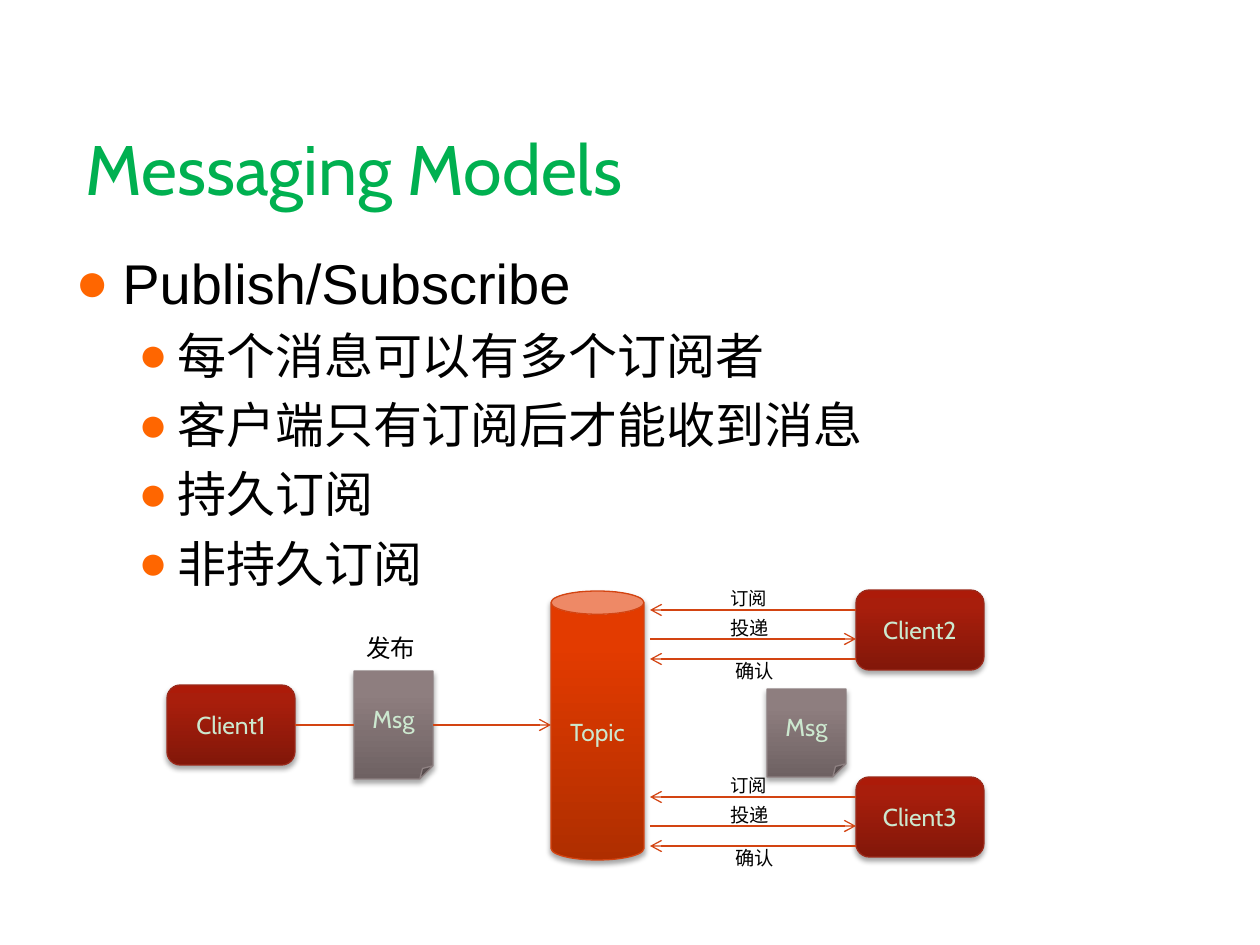
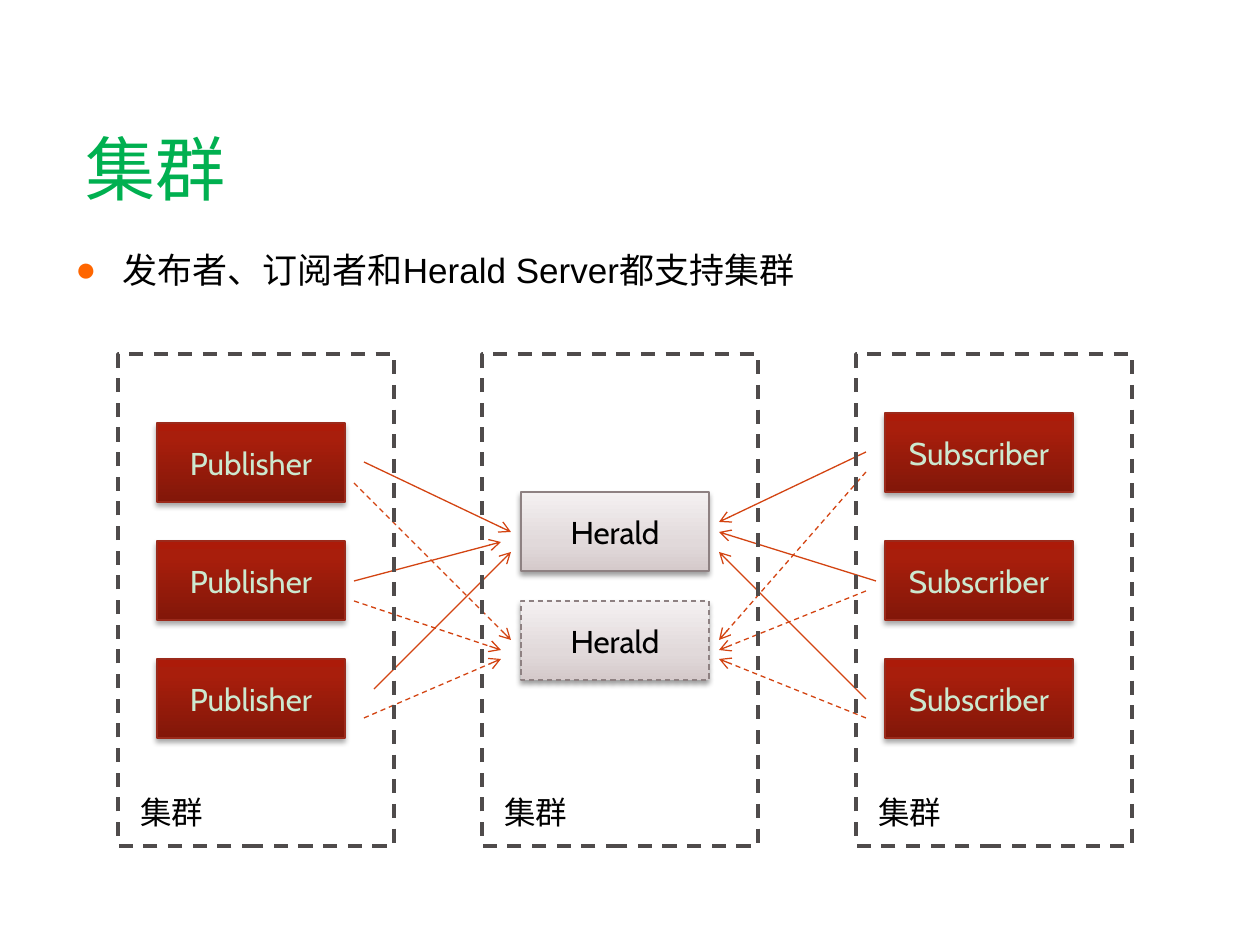
from copy import deepcopy
from dataclasses import dataclass

from lxml import etree
from pptx import Presentation
from pptx import util as u
from pptx.dml.color import RGBColor
from pptx.enum import dml, shapes, text
from pptx.oxml.ns import qn

EMU_PER_PX = 914400 / 126


@dataclass(frozen=True)
class Theme:
    heading_font: str = "Cabin"
    body_font: str = "Arial"
    title: str = "00B050"
    ink: str = "000000"
    pale: str = "CCE8CF"
    bullet: str = "FF6600"
    arrow: str = "D34412"
    frame: str = "4F4B4B"
    title_size: float = 40
    topic_size: float = 32
    detail_size: float = 28
    note_size: float = 20
    cluster_size: float = 18
    diagram_size: float = 14
    signal_size: float = 11
    subscribe_size: float = 10.5
    hairline: float = 0.75
    frame_line: float = 2


@dataclass(frozen=True)
class Finish:
    stops: tuple  # (position in percent, colour), from bottom to top
    outline: str
    ink: str = Theme.pale
    shadow_alpha: int = 35


THEME = Theme()
RED = Finish(((0, "821709"), (80, "A81E0C"), (100, "AC1B09")), "9B2A1B")
GREY = Finish(((0, "6E6162"), (80, "8E7E7F"), (100, "8F7E80")), "8E8182")
ORANGE = Finish(((0, "AF2E00"), (80, "E33B00"), (100, "E43B00")), THEME.arrow)
LIGHT = Finish(((0, "D5CACB"), (35, "E1D9DA"), (100, "F4F0F1")), "8E8182",
               THEME.ink, 38)


def px(length):
    return u.Emu(round(length * EMU_PER_PX))


def box_px(box):
    return [px(length) for length in box]


def rgb(colour):
    return RGBColor.from_string(colour)


def add_node(parent, tag, **attributes):
    node = etree.SubElement(parent, qn(tag))
    for name, value in attributes.items():
        node.set(name, str(value))
    return node


def style_runs(paragraph, size, colour, font=THEME.heading_font):
    for run in paragraph.runs:
        run.font.size = u.Pt(size)
        run.font.name = font
        run.font.color.rgb = rgb(colour)


def style_line(line, colour, width, dashed=False):
    line.color.rgb = rgb(colour)
    line.width = u.Pt(width)
    if dashed:
        line.dash_style = dml.MSO_LINE.DASH


# Text elements

def add_title(slide, words):
    frame = slide.shapes.add_textbox(*box_px((73, 126, 1124, 84))).text_frame
    frame.word_wrap = True
    frame.vertical_anchor = text.MSO_ANCHOR.MIDDLE
    frame.text = words
    style_runs(frame.paragraphs[0], THEME.title_size, THEME.title)


def add_bullets(slide, entries):
    """Each entry is (level, size, words)."""
    frame = slide.shapes.add_textbox(*box_px((63, 242, 1134, 602))).text_frame
    frame.word_wrap = True
    frame.text = "\n".join(words for _, _, words in entries)
    for paragraph, (level, size, _) in zip(frame.paragraphs, entries):
        margin, hanging = ((47, 47), (102, 39))[level]
        paragraph.level = level
        paragraph.space_before = u.Pt(round(size * 0.21, 1))
        style_runs(paragraph, size, THEME.ink, THEME.body_font)
        properties = paragraph._p.get_or_add_pPr()
        properties.set("marL", str(px(margin)))
        properties.set("indent", str(-px(hanging)))
        colour = add_node(properties, "a:buClr")
        add_node(colour, "a:srgbClr", val=THEME.bullet)
        add_node(properties, "a:buFont", typeface=THEME.body_font)
        add_node(properties, "a:buChar", char="●")


def add_label(slide, box, words, size):
    frame = slide.shapes.add_textbox(*box_px(box)).text_frame
    frame.word_wrap = False
    frame.text = words
    style_runs(frame.paragraphs[0], size, THEME.ink)


# Diagram elements

def fill_gradient(shape, stops):
    shape.fill.gradient()
    shape.fill.gradient_angle = 90
    stop_list = shape._element.spPr.find(".//" + qn("a:gsLst"))
    while len(stop_list) < len(stops):
        stop_list.append(deepcopy(stop_list[-1]))
    for stop, (position, colour) in zip(shape.fill.gradient_stops, stops):
        stop.position = position / 100
        stop.color.rgb = rgb(colour)


def add_shadow(shape, alpha):
    shape.shadow.inherit = False
    effects = shape._element.spPr.find(qn("a:effectLst"))
    shadow = add_node(effects, "a:outerShdw", blurRad=u.Pt(3.1), dist=u.Pt(1.8),
                      dir=90 * 60000, algn="t", rotWithShape=0)
    colour = add_node(shadow, "a:srgbClr", val=THEME.ink)
    add_node(colour, "a:alpha", val=alpha * 1000)


def add_node_shape(slide, kind, box, words, finish, size, dashed=False):
    shape = slide.shapes.add_shape(kind, *box_px(box))
    fill_gradient(shape, finish.stops)
    style_line(shape.line, finish.outline, THEME.hairline, dashed)
    add_shadow(shape, finish.shadow_alpha)
    frame = shape.text_frame
    frame.text = words
    frame.vertical_anchor = text.MSO_ANCHOR.MIDDLE
    paragraph = frame.paragraphs[0]
    paragraph.alignment = text.PP_ALIGN.CENTER
    style_runs(paragraph, size, finish.ink)
    return shape


def add_link(slide, start, end, dashed=False, arrow=True):
    connector = slide.shapes.add_connector(
        shapes.MSO_CONNECTOR.STRAIGHT, *box_px((*start, *end)))
    style_line(connector.line, THEME.arrow, THEME.hairline, dashed)
    properties = connector._element.spPr
    if arrow:
        add_node(properties.find(qn("a:ln")), "a:tailEnd", type="arrow")
    add_node(properties, "a:effectLst")
    return connector


def add_client(slide, left, top, words):
    return add_node_shape(slide, shapes.MSO_SHAPE.ROUNDED_RECTANGLE,
                          (left, top, 128, 80), words, RED, THEME.diagram_size)


def add_message(slide, left, top, height):
    return add_node_shape(slide, shapes.MSO_SHAPE.FOLDED_CORNER,
                          (left, top, 79, height), "Msg", GREY, THEME.diagram_size)


def add_subscription(slide, top, client):
    """A client at the right with its three signals to and from the topic."""
    topic_side, client_side = 650, 856
    add_client(slide, client_side, top, client)
    signals = (("订阅", 718, -9, 20, THEME.subscribe_size, False),
               ("投递", 718, 20, 49, THEME.signal_size, True),
               ("确认", 723, 63, 69, THEME.signal_size, False))
    for words, left, label_drop, line_drop, size, to_client in signals:
        start, end = ((topic_side, client_side) if to_client
                      else (client_side, topic_side))
        add_link(slide, (start, top + line_drop), (end, top + line_drop))
        add_label(slide, (left, top + label_drop, 64, 36), words, size)


def add_cluster(slide, left):
    top = 354
    frame = slide.shapes.add_shape(shapes.MSO_SHAPE.RECTANGLE,
                                   *box_px((left, top, 276, 492)))
    frame.fill.background()
    frame.shadow.inherit = False
    style_line(frame.line, THEME.frame, THEME.frame_line, dashed=True)
    add_label(slide, (left + 10, top + 433, 90, 50), "集群", THEME.cluster_size)


def add_member(slide, left, top, words, finish, dashed=False):
    add_node_shape(slide, shapes.MSO_SHAPE.RECTANGLE, (left, top, 188, 79),
                   words, finish, THEME.cluster_size, dashed)


# Slides

def build_messaging_models(slide):
    add_title(slide, "Messaging Models")
    details = ("每个消息可以有多个订阅者", "客户端只有订阅后才能收到消息",
               "持久订阅", "非持久订阅")
    add_bullets(slide, [(0, THEME.topic_size, "Publish/Subscribe")]
                + [(1, THEME.detail_size, words) for words in details])

    # Publishing side
    publisher = add_client(slide, 167, 685, "Client1")
    message = add_message(slide, 354, 671, 108)
    add_label(slide, (354, 627, 75, 43), "发布", THEME.diagram_size)
    add_node_shape(slide, shapes.MSO_SHAPE.CAN, (551, 591, 93, 269), "Topic",
                   ORANGE, THEME.diagram_size)
    sending = add_link(slide, (295, 725), (354, 725), arrow=False)
    sending.begin_connect(publisher, 3)
    sending.end_connect(message, 1)
    arriving = add_link(slide, (433, 725), (551, 725))
    arriving.begin_connect(message, 3)

    # Subscribing side
    add_message(slide, 767, 689, 88)
    for top, client in ((590, "Client2"), (777, "Client3")):
        add_subscription(slide, top, client)


def build_cluster(slide):
    add_title(slide, "集群")
    add_bullets(slide, [(0, THEME.note_size,
                         "发布者、订阅者和Herald Server都支持集群")])

    # Cluster members
    for top in (423, 541, 659):
        add_member(slide, 157, top, "Publisher", RED)
    for top, standby in ((492, False), (601, True)):
        add_member(slide, 521, top, "Herald", LIGHT, standby)
    for top in (413, 541, 659):
        add_member(slide, 885, top, "Subscriber", RED)

    # Each member has a solid link to the first server, a dashed one to the second
    links = (((364, 462), (511, 532)), ((354, 483), (511, 640)),
             ((354, 581), (501, 542)), ((354, 601), (501, 650)),
             ((374, 689), (511, 552)), ((364, 718), (501, 659)),
             ((866, 452), (719, 522)), ((866, 472), (719, 640)),
             ((876, 581), (719, 532)), ((866, 591), (719, 650)),
             ((866, 699), (719, 552)), ((866, 718), (719, 659)))
    for index, (start, end) in enumerate(links):
        add_link(slide, start, end, dashed=index % 2 == 1)

    for left in (118, 482, 856):
        add_cluster(slide, left)


def main():
    presentation = Presentation()
    presentation.slide_width = px(1260)
    presentation.slide_height = px(945)
    blank = presentation.slide_layouts[6]
    for build in (build_messaging_models, build_cluster):
        build(presentation.slides.add_slide(blank))
    presentation.save("out.pptx")


if __name__ == "__main__":
    main()
